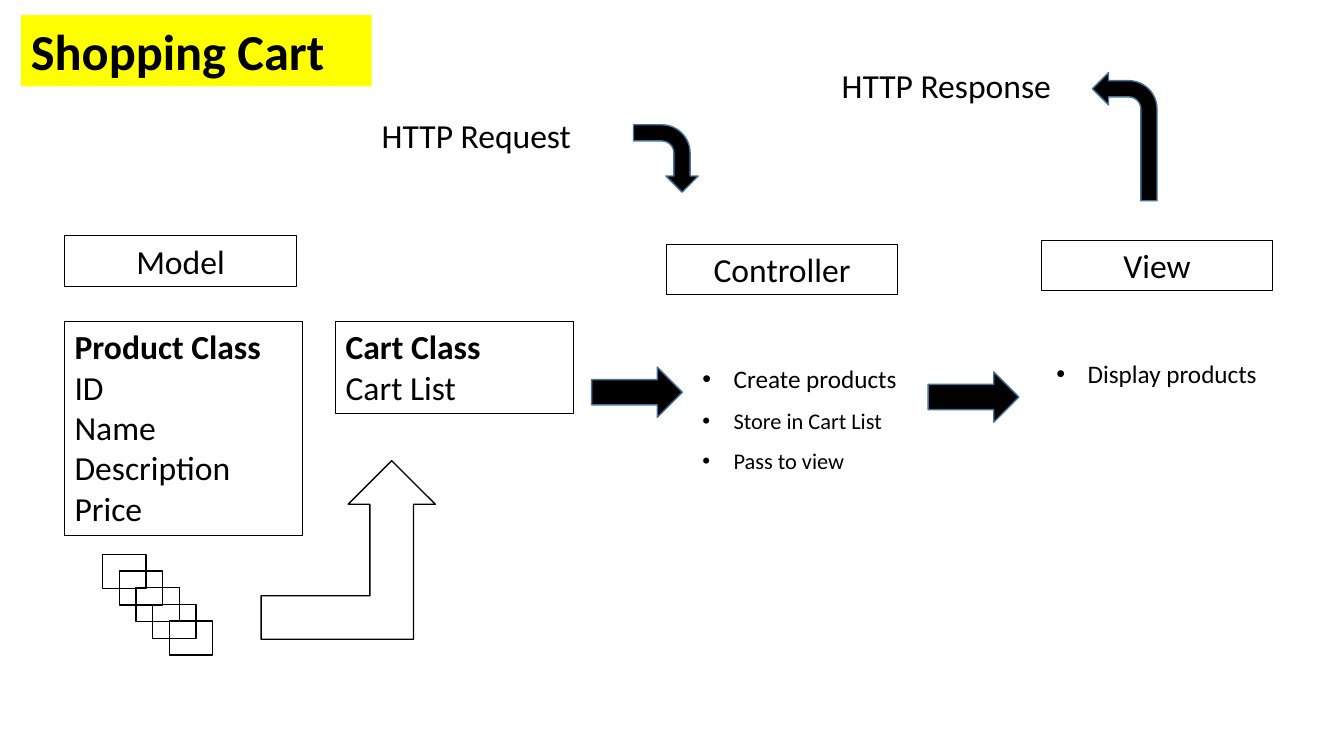
"""Build the Shopping Cart model, view and controller slide."""
from lxml import etree
from pptx import Presentation
from pptx import util as u
from pptx.dml.color import RGBColor
from pptx.enum import shapes, text
from pptx.oxml.ns import qn

COLORS = {"ink": "000000", "edge": "43739E", "highlight": "FFFF00"}
FONT = "Calibri"
LABEL_SIZE = (5.84, 1.27)
CLASS_WIDTH = 6
BULLET_WIDTH = 5.56

TITLE = ("Shopping Cart", (0.53, 0.38, 8.84, 1.8))
MESSAGES = [("HTTP Request", (9.37, 2.77)), ("HTTP Response", (20.96, 1.5))]
ROLES = [("Model", (1.63, 5.94)), ("Controller", (16.79, 6.15)), ("View", (26.24, 6.05))]
CLASSES = [
    (["Product Class", "ID", "Name", "Description", "Price"], (1.63, 8.1), 5.4),
    (["Cart Class", "Cart List"], (8.46, 8.1), 2.31),
]
DUTIES = [
    ([("Create products", 18), ("Store in Cart List", 16), ("Pass to view", 16)],
     (17.45, 8.99), 3.07),
    ([("Display products", 18)], (26.37, 8.86), 1.04),
]
FLOW_ARROWS = [(14.91, 9.25), (23.39, 9.37)]
FLOW_SIZE = (2.29, 1.27)
REQUEST_ARROW = (15.93, 3.18, 1.7, 1.63)
RESPONSE_ARROW = (27.53, 1.83, 1.63, 3.23)
CART_ARROW = (6.58, 11.61, 4.39, 4.5)
PRODUCT_COUNT = 5
PRODUCT_START = (2.59, 13.97)
PRODUCT_STEP = 0.42
PRODUCT_SIZE = (1.09, 0.86)


def color(name):
    return RGBColor.from_string(COLORS[name])


def outline(shape, name, points):
    shape.line.color.rgb = color(name)
    shape.line.width = u.Pt(points)


def add_text(slide, box, lines, size=24, boxed=False):
    shape = slide.shapes.add_textbox(*map(u.Cm, box))
    frame = shape.text_frame
    frame.word_wrap = True
    frame.auto_size = text.MSO_AUTO_SIZE.SHAPE_TO_FIT_TEXT
    frame.text = "\n".join(lines)
    for paragraph in frame.paragraphs:
        paragraph.font.name = FONT
        paragraph.font.size = u.Pt(size)
        paragraph.font.color.rgb = color("ink")
    if boxed:
        outline(shape, "ink", 0.75)
    return shape


def add_duties(slide, box, duties):
    shape = add_text(slide, box, [line for line, size in duties])
    for paragraph, (line, size) in zip(shape.text_frame.paragraphs, duties):
        paragraph.font.size = u.Pt(size)
        paragraph.line_spacing = 1.07
        paragraph.space_after = u.Pt(8)
        properties = paragraph._p.get_or_add_pPr()
        properties.set("marL", str(u.Cm(0.79)))
        properties.set("indent", str(u.Cm(-0.79)))
        bullet_font = etree.Element(qn("a:buFont"), typeface="Arial")
        bullet = etree.Element(qn("a:buChar"), char="•")
        properties.find(qn("a:spcAft")).addnext(bullet_font)
        bullet_font.addnext(bullet)


def add_shape(slide, kind, box, filled=False):
    shape = slide.shapes.add_shape(kind, *map(u.Cm, box))
    shape.shadow.inherit = False
    if filled:
        shape.fill.solid()
        shape.fill.fore_color.rgb = color("ink")
    else:
        shape.fill.background()
    outline(shape, "edge" if filled else "ink", 1)
    return shape


def main():
    presentation = Presentation()
    presentation.slide_width, presentation.slide_height = u.Cm(33.87), u.Cm(19.05)
    slide = presentation.slides.add_slide(presentation.slide_layouts[6])
    kinds = shapes.MSO_SHAPE

    title, title_box = TITLE
    heading = add_text(slide, title_box, [title], 36)
    heading.fill.solid()
    heading.fill.fore_color.rgb = color("highlight")
    heading.text_frame.paragraphs[0].font.bold = True

    for message, place in MESSAGES:
        add_text(slide, place + LABEL_SIZE, [message])
    for role, place in ROLES:
        label = add_text(slide, place + LABEL_SIZE, [role], boxed=True)
        label.text_frame.paragraphs[0].alignment = text.PP_ALIGN.CENTER
    for lines, place, height in CLASSES:
        card = add_text(slide, place + (CLASS_WIDTH, height), lines, boxed=True)
        card.text_frame.paragraphs[0].font.bold = True
    for duties, place, height in DUTIES:
        add_duties(slide, place + (BULLET_WIDTH, height), duties)

    left, top = PRODUCT_START
    for index in range(PRODUCT_COUNT):
        offset = index * PRODUCT_STEP
        add_shape(slide, kinds.RECTANGLE, (left + offset, top + offset) + PRODUCT_SIZE)

    add_shape(slide, kinds.BENT_UP_ARROW, CART_ARROW)
    for place in FLOW_ARROWS:
        add_shape(slide, kinds.RIGHT_ARROW, place + FLOW_SIZE, filled=True)
    add_shape(slide, kinds.BENT_ARROW, REQUEST_ARROW, filled=True).rotation = 90
    response = add_shape(slide, kinds.BENT_ARROW, RESPONSE_ARROW, filled=True)
    response._element.spPr.find(qn("a:xfrm")).set("flipH", "1")

    presentation.save("out.pptx")


if __name__ == "__main__":
    main()
